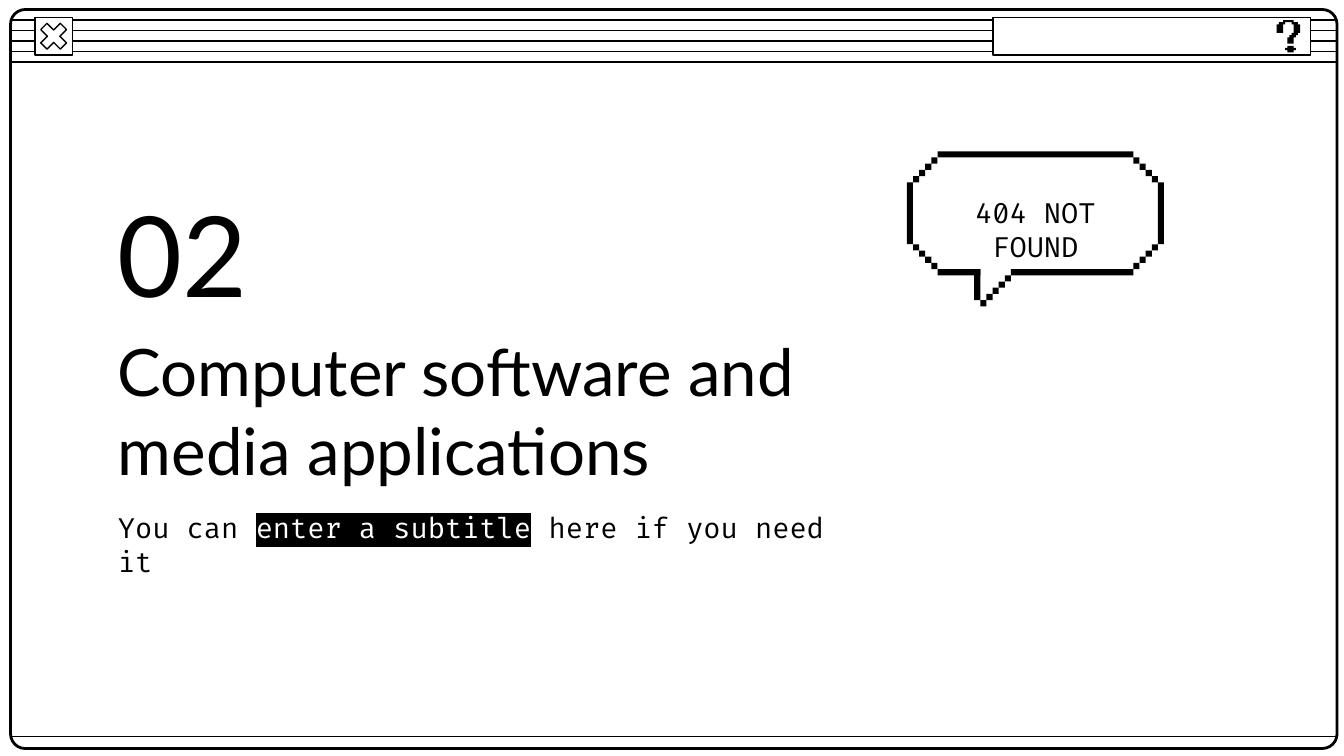
from lxml import etree
from pptx import Presentation
from pptx.dml.color import RGBColor
from pptx.enum.shapes import MSO_CONNECTOR, MSO_SHAPE
from pptx.enum.text import MSO_ANCHOR, PP_ALIGN
from pptx.oxml.ns import qn
from pptx.util import Cm, Pt

RECT, ROUNDED = MSO_SHAPE.RECTANGLE, MSO_SHAPE.ROUNDED_RECTANGLE
CROSS = MSO_SHAPE.MATH_MULTIPLY
STRAIGHT = MSO_CONNECTOR.STRAIGHT
TOP, MIDDLE = MSO_ANCHOR.TOP, MSO_ANCHOR.MIDDLE
LEFT, CENTER = PP_ALIGN.LEFT, PP_ALIGN.CENTER

BLACK, WHITE = "000000", "FFFFFF"
HEADING_FONT, BODY_FONT = "Lato", "Fira Code"

# Pixel outlines as (column, row) corners on an 11 by 15 grid
MARK_GRID = (11, 15)
MARK_HOOK = [(3, 0), (3, 1), (1, 1), (1, 2), (0, 2), (0, 6), (3, 6), (3, 2),
             (4, 2), (4, 1), (7, 1), (7, 2), (8, 2), (8, 6), (7, 6), (7, 7),
             (6, 7), (6, 8), (5, 8), (5, 11), (8, 11), (8, 8), (9, 8), (9, 7),
             (10, 7), (10, 6), (11, 6), (11, 2), (10, 2), (10, 1), (8, 1), (8, 0)]
MARK_DOT = [(5, 12), (5, 13), (4, 13), (4, 14), (5, 14), (5, 15),
            (8, 15), (8, 14), (9, 14), (9, 13), (8, 13), (8, 12)]


def color(hex_code):
    return RGBColor.from_string(hex_code)


def paint(shape, fill=None, line=None, weight=0.75):
    shape.shadow.inherit = False
    if fill:
        shape.fill.solid()
        shape.fill.fore_color.rgb = color(fill)
    else:
        shape.fill.background()
    if line:
        shape.line.color.rgb = color(line)
        shape.line.width = Pt(weight)
    else:
        shape.line.fill.background()


def add_box(slide, kind, box, adjust=None, **style):
    shape = slide.shapes.add_shape(kind, *map(Cm, box))
    if adjust is not None:
        shape.adjustments[0] = adjust
    paint(shape, **style)


def add_rule(slide, left, right, y):
    rule = slide.shapes.add_connector(STRAIGHT, Cm(left), Cm(y), Cm(right), Cm(y))
    rule.line.color.rgb = color(BLACK)
    rule.line.width = Pt(0.75)
    etree.SubElement(rule._element.spPr, qn("a:effectLst"))


def highlight(run, hex_code):
    mark = etree.Element(qn("a:highlight"))
    etree.SubElement(mark, qn("a:srgbClr"), val=hex_code)
    run._r.rPr.find(qn("a:latin")).addprevious(mark)


def add_text(slide, box, text, size, font=BODY_FONT, align=LEFT, anchor=MIDDLE, marked=None):
    """Write text in a box, with the part given as marked shown in reverse."""
    frame = slide.shapes.add_textbox(*map(Cm, box)).text_frame
    frame.word_wrap = True
    frame.vertical_anchor = anchor
    frame.margin_left = frame.margin_right = Cm(0.25)
    frame.margin_top = frame.margin_bottom = Cm(0.25)
    paragraph = frame.paragraphs[0]
    paragraph.alignment = align
    before, found, after = text.partition(marked) if marked else (text, "", "")
    for part in filter(None, (before, found, after)):
        run = paragraph.add_run()
        run.text = part
        run.font.size = Pt(size)
        run.font.name = font
        run.font.color.rgb = color(WHITE if part == marked else BLACK)
        if part == marked:
            highlight(run, BLACK)


def add_question_mark(slide, box):
    left, top, width, height = map(Cm, box)
    columns, rows = MARK_GRID
    for outline in (MARK_DOT, MARK_HOOK):
        builder = slide.shapes.build_freeform(
            *outline[0], scale=(columns / width * width * width / columns / columns,
                                height / rows))
        builder.add_line_segments(outline[1:], close=True)
        paint(builder.convert_to_shape(left, top), fill=BLACK)


def add_window(slide, box):
    left, top, width, height = box
    right = left + width
    first_stripe, last_stripe, stripes = top + 0.2, top + 0.99, 5
    gap = (last_stripe - first_stripe) / (stripes - 1)
    for index in range(stripes):
        add_rule(slide, left, right, first_stripe + index * gap)
    add_box(slide, ROUNDED, box, adjust=0.02, line=BLACK, weight=1.5)

    button_top, button = top + 0.15, 0.71
    close_box = (left + 0.46, button_top, button, button)
    add_box(slide, RECT, close_box, fill=WHITE, line=BLACK)
    add_box(slide, CROSS, close_box, adjust=0.235, fill=WHITE, line=BLACK)

    add_rule(slide, left, right, top + height - 0.23)
    add_box(slide, RECT, (right - 6.5, button_top, 6, button), fill=WHITE, line=BLACK)
    add_question_mark(slide, (right - 1.14, top + 0.2, 0.44, 0.61))


def add_headings(slide, box):
    left, top, width, _ = box
    add_text(slide, (left, top + 2.97, width, 2.34),
             "Computer software and media applications", size=35, font=HEADING_FONT)
    add_text(slide, (left, top, 8.76, 2.34), "02", size=60, font=HEADING_FONT)
    add_text(slide, (left, top + 6.25, width, 0.86),
             "You can enter a subtitle here if you need it", size=15,
             marked="enter a subtitle")


def add_speech_bubble(slide, box):
    """Draw a bubble of pixels on a grid of 42 columns and 25 rows."""
    left, top, width, height = box
    columns, rows = 42, 25
    pixel_width, pixel_height = width / columns, height / rows
    last_column, bottom_row, corner = columns - 1, 19, 5

    # Bars are (column, row, columns, rows)
    bars = [(corner, 0, columns - 2 * corner, 1),
            (corner, bottom_row, 7, 1), (17, bottom_row, 20, 1),
            (0, corner, 1, 10), (last_column, corner, 1, 10),
            (11, bottom_row, 1, 5)]
    for step in range(1, corner):
        for column in (step, last_column - step):
            for row in (corner - step, bottom_row - corner + step):
                bars.append((column, row, 1, 1))
    bars += [(12 + step, rows - 1 - step, 1, 1) for step in range(5)]

    for column, row, across, down in bars:
        add_box(slide, RECT,
                (left + column * pixel_width, top + row * pixel_height,
                 across * pixel_width, down * pixel_height), fill=BLACK)
    add_text(slide, (left + 0.1, top + 0.59, width - 0.2, 1.14),
             "404 NOT FOUND", size=15, align=CENTER, anchor=TOP)


def main():
    deck = Presentation()
    deck.slide_width, deck.slide_height = Cm(25.4), Cm(14.29)
    slide = deck.slides.add_slide(deck.slide_layouts[6])
    add_window(slide, (0.2, 0.18, 25.07, 13.97))
    add_headings(slide, (1.98, 3.61, 14.81, 7.11))
    add_speech_bubble(slide, (17.14, 2.86, 4.86, 2.93))
    deck.save("out.pptx")


if __name__ == "__main__":
    main()
